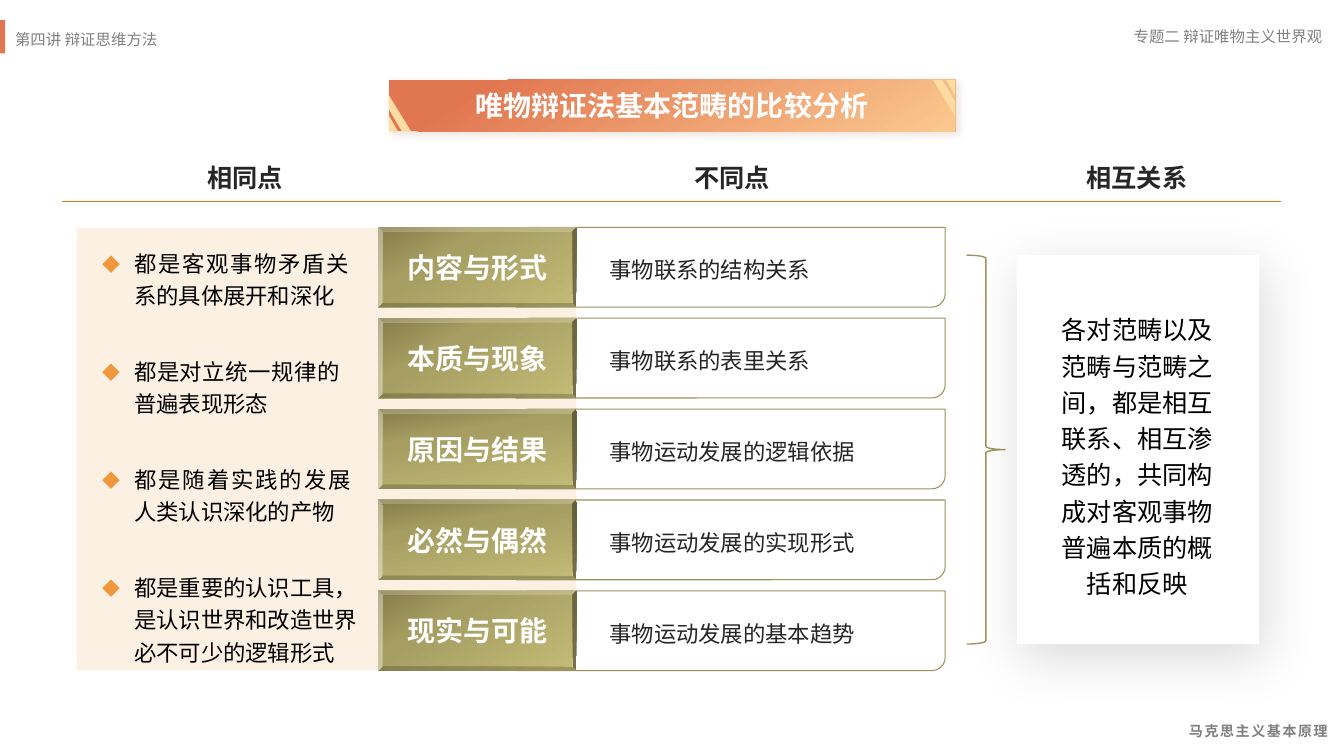
"""Builds the slide comparing the basic categories of materialist dialectics."""
from dataclasses import dataclass

from lxml.etree import SubElement as add_element
from pptx import Presentation
from pptx.dml.color import RGBColor
from pptx.enum.shapes import MSO_CONNECTOR as Connector, MSO_SHAPE as Shape
from pptx.enum.text import MSO_ANCHOR as Anchor, MSO_AUTO_SIZE as AutoSize, PP_ALIGN as Align
from pptx.oxml.ns import qn
from pptx.util import Cm, Pt


@dataclass(frozen=True)
class Theme:
    font: str = "Noto Sans CJK SC"
    white: str = "FFFFFF"
    black: str = "000000"
    ink: str = "262626"
    gray: str = "808080"
    accent: str = "E17751"
    cream: str = "FCF0E2"
    stripe: str = "FEDCA3"
    rule: str = "E37A17"
    bullet: str = "F0963D"
    olive: str = "9A935B"
    brace: str = "9D955C"
    banner: tuple = ((16, "E17751"), (100, "FBC98F"))
    bevel: tuple = ((0, "C4BB77"), (68, "A59D61"), (100, "857C4A"))
    banner_shadow: tuple = ("985125", 15, 5, 3, 45)
    panel_shadow: tuple = ("000000", 15, 40, 10, 70)
    title: int = 20
    heading: int = 18
    body: int = 16
    header: int = 11
    footer: int = 10


theme = Theme()
deck = Presentation()
deck.slide_width, deck.slide_height = Cm(33.87), Cm(19.05)
page = deck.slides.add_slide(deck.slide_layouts[6])


def draw(kind, place, fill=None, line=None, width=1, angle=0, shadow=None):
    shape = page.shapes.add_shape(kind, *map(Cm, place))
    if fill is None:
        shape.fill.background()
    elif isinstance(fill, str):
        shape.fill.solid()
        shape.fill.fore_color.rgb = RGBColor.from_string(fill)
    else:
        shape.fill.gradient()
        shape.fill.gradient_angle = 360 - angle
        stops = shape.element.spPr.find(".//" + qn("a:gsLst"))
        stops.clear()
        for position, color in fill:
            stop = add_element(stops, qn("a:gs"), pos=str(position * 1000))
            add_element(stop, qn("a:srgbClr"), val=color)
    if line:
        shape.line.color.rgb = RGBColor.from_string(line)
        shape.line.width = Pt(width)
    else:
        shape.line.fill.background()
    shape.shadow.inherit = False
    if shadow:
        color, opacity, blur, distance, direction = shadow
        outer = add_element(
            shape.element.spPr.find(qn("a:effectLst")), qn("a:outerShdw"),
            blurRad=str(Pt(blur)), dist=str(Pt(distance)),
            dir=str(direction * 60000), algn="ctr", rotWithShape="0")
        tint = add_element(outer, qn("a:srgbClr"), val=color)
        add_element(tint, qn("a:alpha"), val=str(opacity * 1000))
    return shape


def write(box, text, size, color, align=Align.LEFT, bold=False, spacing=1.0, wrap=True):
    frame = box.text_frame
    frame.text = text
    frame.word_wrap = wrap
    para = frame.paragraphs[0]
    para.alignment = align
    para.line_spacing = spacing
    span = para.runs[0]
    span.font.size = Pt(size)
    span.font.bold = bold
    span.font.color.rgb = RGBColor.from_string(color)
    span.font.name = theme.font
    add_element(span.font._element, qn("a:ea"), typeface=theme.font)
    return para


margin_notes = [
    ("马克思主义基本原理", (27.13, 17.88, 6.58, 0.81), theme.footer, Align.RIGHT, True, 1.5),
    ("专题二 辩证唯物主义世界观", (25.22, 0.56, 8.36, 0.74), theme.header, Align.RIGHT, False, 1.0),
    ("第四讲 辩证思维方法", (0.13, 0.53, 19.89, 0.76), theme.header, Align.JUSTIFY, False, 1.2),
]
for text, place, size, align, bold, spacing in margin_notes:
    box = page.shapes.add_textbox(*map(Cm, place))
    box.text_frame.auto_size = AutoSize.SHAPE_TO_FIT_TEXT
    para = write(box, text, size, theme.gray, align, bold, spacing)
    if bold:
        para.runs[0].font._element.set("spc", "120")
draw(Shape.RECTANGLE, (0, 0.51, 0.13, 0.84), theme.accent)

banner = draw(Shape.PARALLELOGRAM, (9.8, 2.01, 14.27, 1.3), theme.banner,
              angle=60, shadow=theme.banner_shadow)
banner.adjustments[0] = 0
banner.text_frame.vertical_anchor = Anchor.MIDDLE
write(banner, "唯物辩证法基本范畴的比较分析", theme.title, theme.white, Align.CENTER, True)
for left, top, turn in [(9.8, 2.4, 0), (23.51, 2.01, 180)]:
    builder = page.shapes.build_freeform(0, 51, scale=Cm(0.01))
    builder.add_line_segments([(23, 91), (0, 91)])
    builder.move_to(0, 0)
    builder.add_line_segments([(56, 91), (33, 91), (0, 36)])
    stripes = builder.convert_to_shape(Cm(left), Cm(top))
    stripes.rotation = turn
    stripes.fill.solid()
    stripes.fill.fore_color.rgb = RGBColor.from_string(theme.stripe)
    stripes.line.fill.background()
    stripes.shadow.inherit = False

for text, left, width in [("相同点", 4.98, 2.44), ("不同点", 17.25, 2.44), ("相互关系", 27.13, 3.07)]:
    box = page.shapes.add_textbox(Cm(left), Cm(3.96), Cm(width), Cm(1.02))
    box.text_frame.auto_size = AutoSize.SHAPE_TO_FIT_TEXT
    write(box, text, theme.heading, theme.ink, bold=True, wrap=False)
rule = page.shapes.add_connector(Connector.STRAIGHT, Cm(1.57), Cm(5.07), Cm(32.28), Cm(5.07))
rule.line.color.rgb = RGBColor.from_string(theme.rule)
rule.line.width = Pt(1)
add_element(rule._element.spPr, qn("a:effectLst"))

draw(Shape.RECTANGLE, (1.93, 5.74, 12.6, 11.15), theme.cream)
common_points = [
    ("都是客观事物矛盾关系的具体展开和深化", 6.71, Align.JUSTIFY),
    ("都是对立统一规律的普遍表现形态", 6.48, Align.JUSTIFY),
    ("都是随着实践的发展人类认识深化的产物", 6.76, Align.JUSTIFY),
    ("都是重要的认识工具，是认识世界和改造世界必不可少的逻辑形式", 7.19, Align.LEFT),
]
for row, (text, width, align) in enumerate(common_points):
    box = page.shapes.add_textbox(Cm(2.34), Cm(6.05 + 2.72 * row), Cm(width), Cm(1.83))
    box.text_frame.auto_size = AutoSize.SHAPE_TO_FIT_TEXT
    para = write(box, text, theme.body, theme.black, align, spacing=1.2)
    props = para._p.get_or_add_pPr()
    props.set("marL", str(Cm(0.79)))
    props.set("indent", str(Cm(-0.79)))
    add_element(add_element(props, qn("a:buClr")), qn("a:srgbClr"), val=theme.bullet)
    add_element(props, qn("a:buSzPct"), val="80000")
    add_element(props, qn("a:buFont"), typeface=theme.font)
    add_element(props, qn("a:buChar"), char="◆")

differences = [
    ("内容与形式", "事物联系的结构关系", 240),
    ("本质与现象", "事物联系的表里关系", 240),
    ("原因与结果", "事物运动发展的逻辑依据", 260),
    ("必然与偶然", "事物运动发展的实现形式", 260),
    ("现实与可能", "事物运动发展的基本趋势", 240),
]
for row, (pair, meaning, angle) in enumerate(differences):
    top = 5.73 + 2.29 * row
    card = draw(Shape.ROUND_2_DIAG_RECTANGLE, (13, top, 10.82, 2.01), theme.white, theme.olive, 0.75)
    card.text_frame.vertical_anchor = Anchor.MIDDLE
    para = write(card, meaning, theme.body, theme.ink, spacing=1.2)
    para._p.get_or_add_pPr().set("marL", str(Cm(2.01)))
    label = draw(Shape.BEVEL, (9.53, top, 5, 2.01), theme.bevel, angle=angle)
    label.adjustments[0] = 0.05
    label.text_frame.vertical_anchor = Anchor.MIDDLE
    write(label, pair, theme.title, theme.white, Align.CENTER, True)

draw(Shape.RIGHT_BRACE, (24.36, 6.43, 0.97, 9.8), line=theme.brace)
draw(Shape.RECTANGLE, (25.63, 6.43, 6.1, 9.8), theme.white, shadow=theme.panel_shadow)
box = page.shapes.add_textbox(Cm(26.26), Cm(7.65), Cm(4.8), Cm(7.65))
box.text_frame.auto_size = AutoSize.SHAPE_TO_FIT_TEXT
write(box, "各对范畴以及范畴与范畴之间，都是相互联系、相互渗透的，共同构成对客观事物普遍本质的概括和反映",
      theme.heading, theme.black, Align.CENTER, spacing=1.2)

deck.save("out.pptx")
